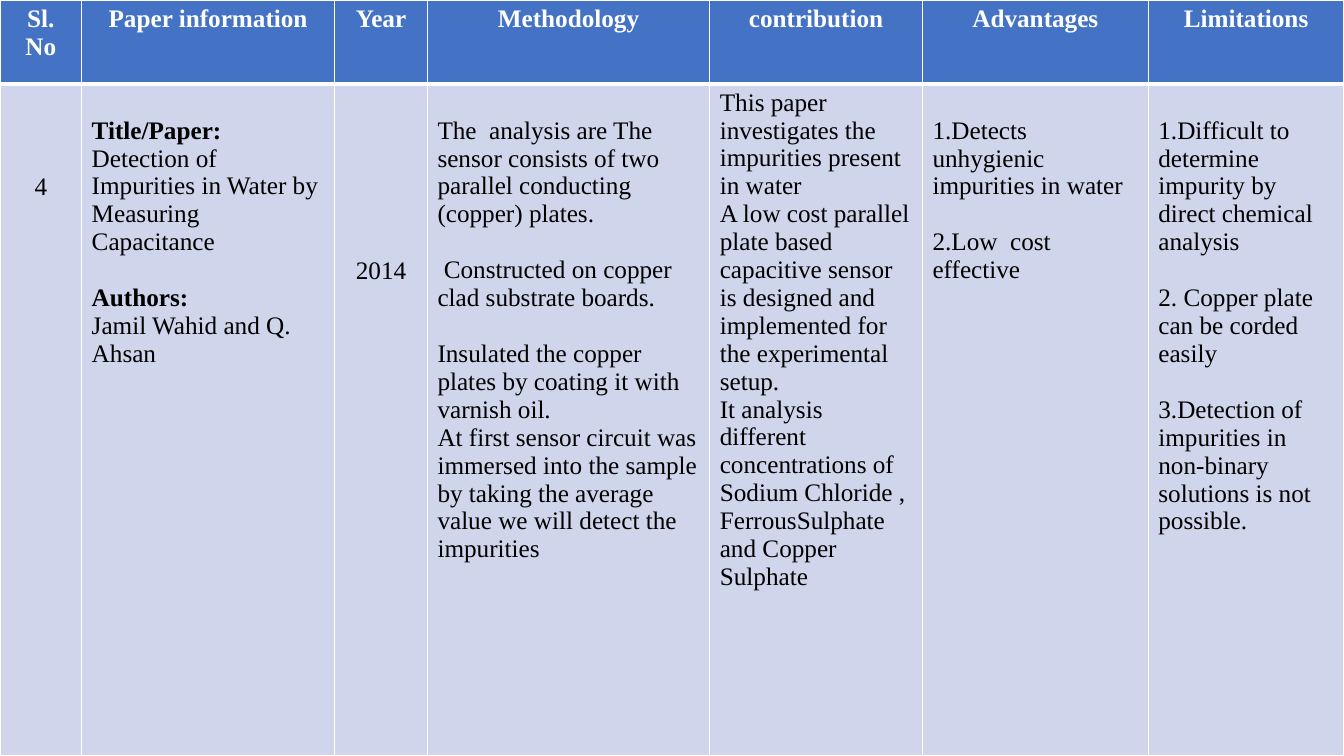
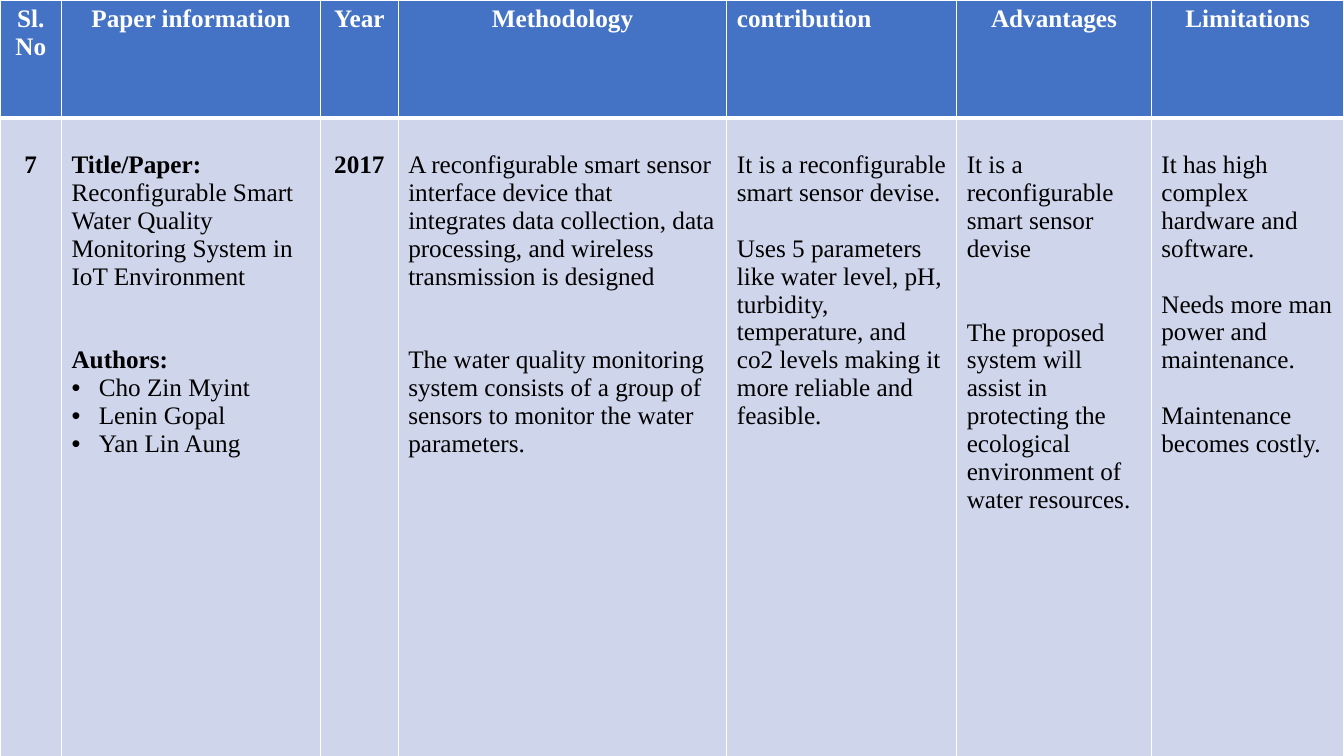
import dataclasses

import lxml.etree
import pptx
import pptx.dml.color
import pptx.enum.text
import pptx.oxml.ns
import pptx.util

Inches = pptx.util.Inches
Pt = pptx.util.Pt
ALIGN = pptx.enum.text.PP_ALIGN
qn = pptx.oxml.ns.qn

COLORS = {"head": "4472C4", "body": "CFD5EA", "line": "FFFFFF",
          "light": "FFFFFF", "dark": "000000"}
FONT = {"name": "Times New Roman", "size": Pt(18)}
LINE = 20  # points in one line of text
PAD = 0.05
INDENT = Inches(0.27)
HEADS = ["Sl. No", "Paper information", "Year", "Methodology",
         "contribution", "Advantages", "Limitations"]
MID = {0, 2}  # columns with centred body text


@dataclasses.dataclass
class Para:
    """One paragraph; gap counts the free lines above it."""
    text: str
    gap: int = 0
    bold: bool = False
    bullet: bool = False


def color(key):
    return pptx.dml.color.RGBColor.from_string(COLORS[key])


def set_edges(cell, widths):
    """Draw cell borders; widths maps L, R, T, B to points."""
    props = cell._tc.get_or_add_tcPr()
    for side, width in widths.items():
        edge = lxml.etree.SubElement(props, qn("a:ln" + side), w=str(Pt(width)))
        fill = lxml.etree.SubElement(edge, qn("a:solidFill"))
        lxml.etree.SubElement(fill, qn("a:srgbClr"), val=COLORS["line"])


def add_bullet(para):
    props = para._p.get_or_add_pPr()
    props.set("marL", str(INDENT))
    props.set("indent", str(-INDENT))
    lxml.etree.SubElement(props, qn("a:buFont"), typeface="Arial")
    lxml.etree.SubElement(props, qn("a:buChar"), char="•")


def fill_cell(cell, paras, fill, ink, align, edges):
    set_edges(cell, edges)
    cell.fill.solid()
    cell.fill.fore_color.rgb = color(fill)
    cell.margin_top = Inches(PAD) + Pt(LINE * paras[0].gap)
    frame = cell.text_frame
    for num, item in enumerate(paras):
        para = frame.add_paragraph() if num else frame.paragraphs[0]
        para.alignment = align
        if num and item.gap:
            para.space_before = Pt(LINE * item.gap)
        if item.bullet:
            add_bullet(para)
        run = para.add_run()
        run.text = item.text
        for name, value in {**FONT, "bold": item.bold}.items():
            setattr(run.font, name, value)
        run.font.color.rgb = color(ink)


def add_review(deck, cols, rows, body, left=()):
    """Add a slide with one paper; left names the left-aligned heads."""
    slide = deck.slides.add_slide(deck.slide_layouts[6])
    table = slide.shapes.add_table(
        2, len(cols), 0, 0, Inches(sum(cols)), Inches(sum(rows))).table
    for row, height in zip(table.rows, rows):
        row.height = Inches(height)
    for num, (width, head, paras) in enumerate(zip(cols, HEADS, body)):
        table.columns[num].width = Inches(width)
        fill_cell(table.cell(0, num), [Para(head, bold=True)], "head", "light",
                  ALIGN.LEFT if head in left else ALIGN.CENTER,
                  {"L": 1, "R": 1, "T": 1, "B": 3})
        fill_cell(table.cell(1, num), paras, "body", "dark",
                  ALIGN.CENTER if num in MID else ALIGN.LEFT,
                  {"L": 1, "R": 1, "T": 3, "B": 1})


CAPACITANCE = [
    [Para("4", 3)],
    [Para("Title/Paper:", 1, bold=True),
     Para("Detection of Impurities in Water by Measuring Capacitance"),
     Para("Authors:", 1, bold=True),
     Para("Jamil Wahid and Q. Ahsan")],
    [Para("2014", 6)],
    [Para("The  analysis are The sensor consists of two parallel conducting "
          "(copper) plates.", 1),
     Para(" Constructed on copper clad substrate boards.", 1),
     Para("Insulated the copper plates by coating it with varnish oil.", 1),
     Para("At first sensor circuit was immersed into the sample by taking "
          "the average value we will detect the impurities")],
    [Para("This paper investigates the impurities present in water"),
     Para("A low cost parallel plate based capacitive sensor is designed and "
          "implemented for the experimental setup."),
     Para("It analysis different concentrations of Sodium Chloride , "
          "FerrousSulphate and Copper Sulphate")],
    [Para("1.Detects unhygienic impurities in water", 1),
     Para("2.Low  cost effective", 1)],
    [Para("1.Difficult to determine impurity by direct chemical analysis", 1),
     Para("2. Copper plate can be corded easily", 1),
     Para("3.Detection of impurities in non-binary solutions is not "
          "possible.", 1)],
]

SMART = [
    [Para("7", 1, bold=True)],
    [Para("Title/Paper:", 1, bold=True),
     Para("Reconfigurable Smart Water Quality Monitoring System in IoT "
          "Environment"),
     Para("Authors:", 2, bold=True),
     *[Para(name, bullet=True)
       for name in ("Cho Zin Myint", "Lenin Gopal", "Yan Lin Aung")]],
    [Para("2017", 1, bold=True)],
    [Para("A reconfigurable smart sensor interface device that integrates "
          "data collection, data processing, and wireless transmission is "
          "designed", 1),
     Para("The water quality monitoring system consists of a group of sensors "
          "to monitor the water parameters.", 2)],
    [Para("It is a reconfigurable smart sensor devise.", 1),
     Para("Uses 5 parameters like water level, pH, turbidity, temperature, "
          "and co2 levels making it more reliable and feasible.", 1)],
    [Para("It is a reconfigurable smart sensor devise", 1),
     Para("The proposed system will assist in protecting the ecological "
          "environment of water resources.", 2)],
    [Para("It has high complex hardware and software.", 1),
     Para("Needs more man power and maintenance.", 1),
     Para("Maintenance becomes costly.", 1)],
]


def main():
    deck = pptx.Presentation()
    deck.slide_width, deck.slide_height = Inches(13.33), Inches(7.5)
    add_review(deck, [0.81, 2.51, 0.92, 2.8, 2.11, 2.24, 1.94],
               [0.83, 6.67], CAPACITANCE)
    add_review(deck, [0.61, 2.57, 0.77, 3.26, 2.28, 1.93, 1.91],
               [1.17, 6.47], SMART, left={"contribution"})
    deck.save("out.pptx")


if __name__ == "__main__":
    main()
